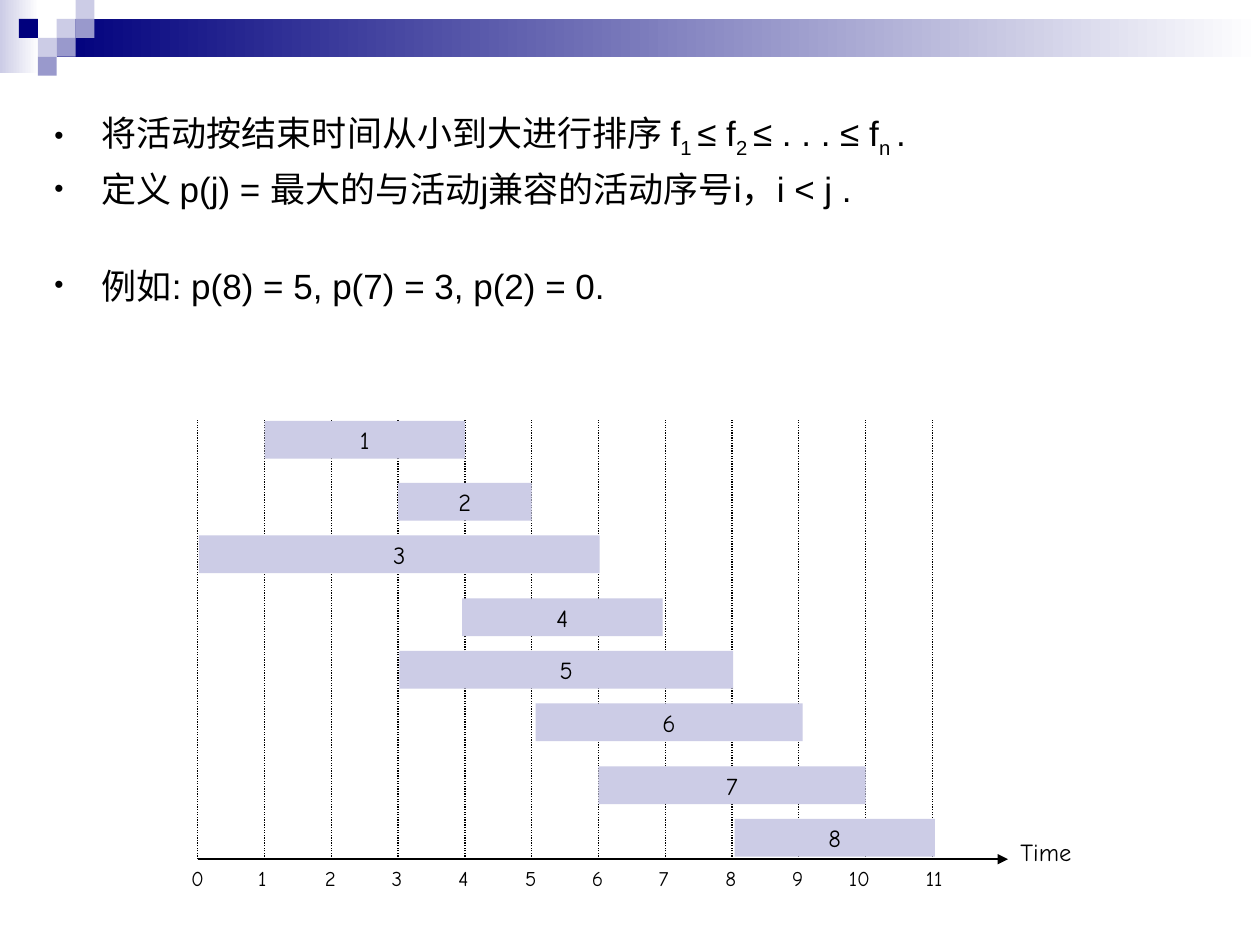
from dataclasses import dataclass

from lxml import etree
from pptx import Presentation
from pptx.dml.color import RGBColor
from pptx.enum.dml import MSO_LINE_DASH_STYLE as Dash
from pptx.enum.shapes import MSO_CONNECTOR as Conn, MSO_SHAPE as Shape
from pptx.enum.text import MSO_ANCHOR as Anchor, PP_ALIGN as Align
from pptx.oxml.ns import qn
from pptx.util import Pt

BLACK, NAVY, PALE, MID, WHITE = "000000", "00007D", "CCCCE6", "9999CC", "FFFFFF"
LEFT, STEP = 113, 38.16      # time zero and one unit of time
TOP, AXIS = 240, 491         # ends of the grid lines
TILE = 10.8


@dataclass
class Bar:
    name: str
    start: int
    end: int
    top: float
    shift: float = 0


@dataclass
class Tile:
    col: int
    row: int
    tint: str


BARS = [
    Bar("1", 1, 4, 240.5), Bar("2", 3, 5, 276), Bar("3", 0, 6, 306, 0.7),
    Bar("4", 4, 7, 342, -1.5), Bar("5", 3, 8, 372, 0.7), Bar("6", 5, 9, 402, 2.2),
    Bar("7", 6, 10, 438), Bar("8", 8, 11, 468, 1.5),
]
TILES = [
    Tile(3, 1, PALE), Tile(4, 0, PALE), Tile(4, 1, MID), Tile(2, 2, PALE),
    Tile(1, 1, NAVY), Tile(3, 2, MID), Tile(2, 3, MID),
]
# Each paragraph: space before, then runs; a leading "_" marks a subscript
NOTES = [
    (5, ["将活动按结束时间从小到大进行排序 f", "_1 ", "≤ f", "_2 ", "≤ . . . ≤ f", "_n ", "."]),
    (5, ["定义 p(j) = 最大的与活动j兼容的活动序号i，i < j ."]),
    (31, ["例如: p(8) = 5, p(7) = 3, p(2) = 0."]),
]


def tint(code: str) -> RGBColor:
    return RGBColor.from_string(code)


def grid(time: int) -> float:
    return LEFT + time * STEP


def style(run, size: float, face: str) -> None:
    run.font.size = Pt(size)
    run.font.name = face
    run.font.color.rgb = tint(BLACK)


def rect(slide, x: float, y: float, w: float, h: float, *fills: str):
    """Add a plain rectangle; two fills make a gradient from left to right."""
    box = slide.shapes.add_shape(Shape.RECTANGLE, Pt(x), Pt(y), Pt(w), Pt(h))
    box.shadow.inherit = False
    box.line.fill.background()
    if len(fills) == 2:
        box.fill.gradient()
        box.fill.gradient_angle = 0
        for stop, code in zip(box.fill.gradient_stops, fills):
            stop.color.rgb = tint(code)
    else:
        box.fill.solid()
        box.fill.fore_color.rgb = tint(fills[0])
    return box


def rule(slide, x1: float, y1: float, x2: float, y2: float, width: float):
    line = slide.shapes.add_connector(Conn.STRAIGHT, Pt(x1), Pt(y1), Pt(x2), Pt(y2))
    line.line.color.rgb = tint(BLACK)
    line.line.width = Pt(width)
    etree.SubElement(line.line._get_or_add_ln().getparent(), qn("a:effectLst"))
    return line


def label(slide, text: str, x: float, y: float, w: float, h: float, size: float) -> None:
    frame = slide.shapes.add_textbox(Pt(x), Pt(y), Pt(w), Pt(h)).text_frame
    frame.word_wrap = True
    frame.text = text
    style(frame.paragraphs[0].runs[0], size, "Comic Neue")


def draw_bar(slide, bar: Bar) -> None:
    box = rect(slide, grid(bar.start) + bar.shift, bar.top,
               (bar.end - bar.start) * STEP, 21.6, PALE)
    frame = box.text_frame
    frame.word_wrap = False
    frame.vertical_anchor = Anchor.MIDDLE
    frame.text = bar.name
    para = frame.paragraphs[0]
    para.alignment = Align.CENTER
    style(para.runs[0], 14, "Comic Neue")


def bullet(para) -> None:
    props = para._p.get_or_add_pPr()
    props.set("marL", str(Pt(27)))
    props.set("indent", str(-Pt(27)))
    paint = etree.SubElement(props, qn("a:buClr"))
    etree.SubElement(paint, qn("a:srgbClr"), val=BLACK)
    etree.SubElement(props, qn("a:buSzPct"), val="75000")
    etree.SubElement(props, qn("a:buFont"), typeface="Arial")
    etree.SubElement(props, qn("a:buChar"), char="•")


def draw_notes(slide) -> None:
    frame = slide.shapes.add_textbox(Pt(24), Pt(60), Pt(648), Pt(306)).text_frame
    frame.word_wrap = True
    for i, (gap, parts) in enumerate(NOTES):
        para = frame.add_paragraph() if i else frame.paragraphs[0]
        para.space_before = Pt(gap)
        bullet(para)
        for part in parts:
            run = para.add_run()
            run.text = part.removeprefix("_")
            style(run, 20, "Arial")
            if part.startswith("_"):
                run.font._element.set("baseline", "-25000")


def main() -> None:
    deck = Presentation()
    deck.slide_width, deck.slide_height = Pt(720), Pt(540)
    slide = deck.slides.add_slide(deck.slide_layouts[6])

    # Header band
    rect(slide, 0, 0, 22.3, 41.8, PALE, WHITE)
    rect(slide, 32.4, 10.8, 687.6, 21.6, NAVY, WHITE)
    for tile in TILES:
        rect(slide, tile.col * TILE, tile.row * TILE, TILE, TILE, tile.tint)

    draw_notes(slide)

    # Time axis
    axis = rule(slide, LEFT, AXIS, 576, AXIS, 1.25)
    etree.SubElement(axis.line._get_or_add_ln(), qn("a:tailEnd"), type="triangle")
    label(slide, "Time", 576, 474.5, 60, 24, 14)

    # Grid lines and their numbers; the 10 sits a little to the left
    for time in range(12):
        x = grid(time)
        rule(slide, x, AXIS, x, TOP, 0.75).line.dash_style = Dash.ROUND_DOT
        nudge = -5.8 if time == 10 else 0
        label(slide, str(time), x - 10.8 + nudge, AXIS, 33, 21.6, 12)

    # Activities
    for bar in BARS:
        draw_bar(slide, bar)

    deck.save("out.pptx")


if __name__ == "__main__":
    main()
